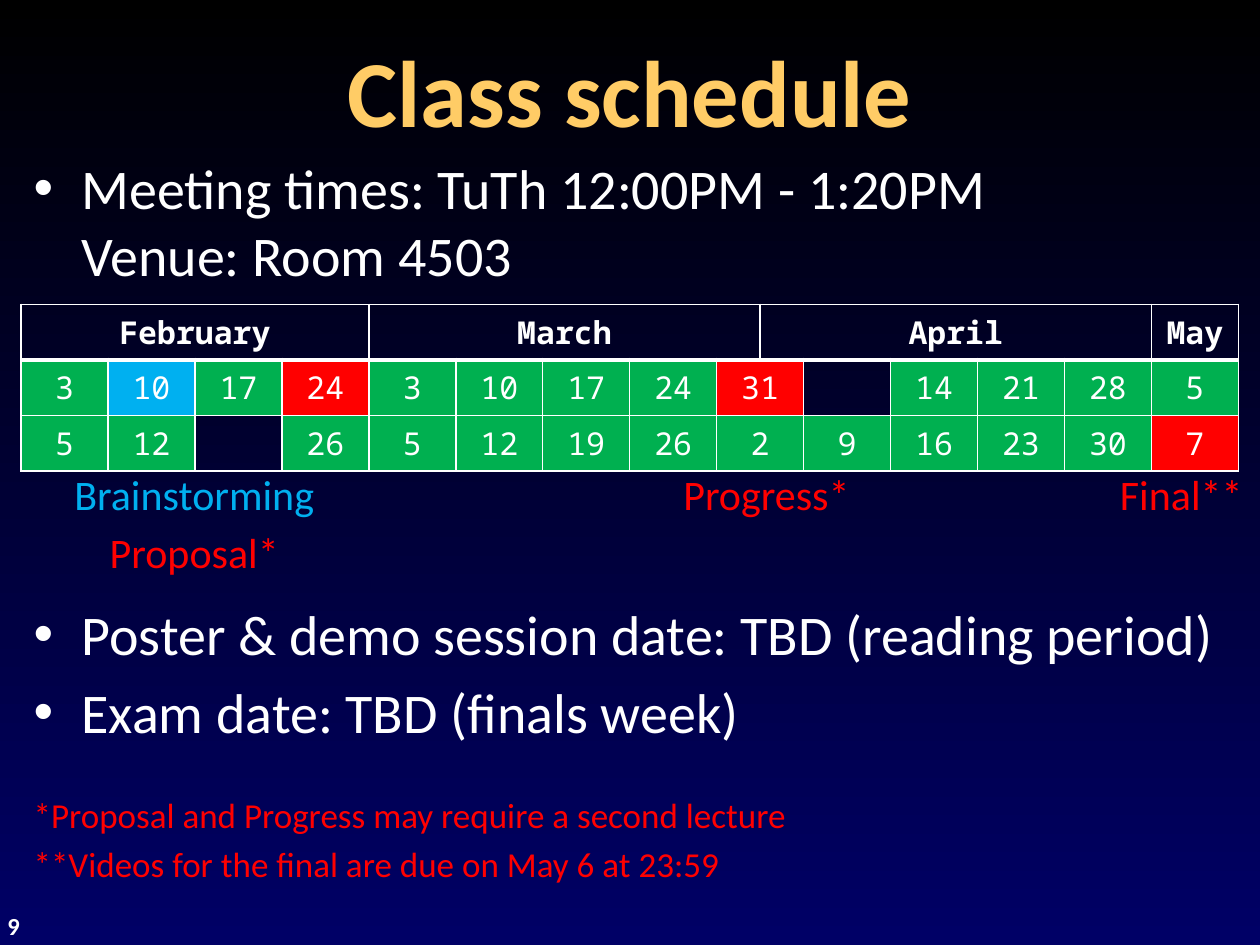
from lxml import etree
from pptx import Presentation
from pptx.dml.color import RGBColor
from pptx.enum.text import MSO_ANCHOR, MSO_AUTO_SIZE, PP_ALIGN
from pptx.oxml.ns import qn
from pptx.util import Inches, Pt

LEFT, CENTER = PP_ALIGN.LEFT, PP_ALIGN.CENTER
TOP, MIDDLE = MSO_ANCHOR.TOP, MSO_ANCHOR.MIDDLE
NO_FIT = MSO_AUTO_SIZE.NONE

BLACK = RGBColor(0x00, 0x00, 0x00)
NAVY = RGBColor(0x00, 0x00, 0x66)
WHITE = RGBColor(0xFF, 0xFF, 0xFF)
GOLD = RGBColor(0xFF, 0xCC, 0x66)
GREEN = RGBColor(0x00, 0xB0, 0x50)
BLUE = RGBColor(0x00, 0xB0, 0xF0)
RED = RGBColor(0xFF, 0x00, 0x00)

prs = Presentation()
prs.slide_width, prs.slide_height = Inches(10), Inches(7.5)
U = prs.slide_width // 60  # grid unit: a sixtieth of the slide's width
s = prs.slides.add_slide(prs.slide_layouts[1])


def style(p, size, color, align=LEFT, before=0, bold=False, font="Calibri"):
    p.alignment = align
    p.space_before = Pt(before)
    for r in p.runs:
        r.font.name, r.font.size, r.font.bold = font, Pt(size), bold
        r.font.color.rgb = color


def place(sp, left, top, width, height, anchor=TOP):
    sp.left, sp.top = int(left * U), int(top * U)
    sp.width, sp.height = int(width * U), int(height * U)
    tf = sp.text_frame
    tf.word_wrap, tf.auto_size, tf.vertical_anchor = True, NO_FIT, anchor
    return tf


# Background
fill = s.background.fill
fill.gradient()
fill.gradient_angle = 270
for stop, position, color in zip(fill.gradient_stops, (0, 1), (BLACK, NAVY)):
    stop.position = position
    stop.color.rgb = color

# Title
tf = place(s.shapes.title, 1, 1, 58, 6.5, MIDDLE)
tf.text = "Class schedule"
style(tf.paragraphs[0], 54, GOLD, CENTER, bold=True)

# Body: bullets above and below the calendar, then the footnotes
body = [
    ("Meeting times: TuTh 12:00PM - 1:20PM\vVenue: Room 4503", True, 0),
    ("Poster & demo session date: TBD (reading period)", True, 178),
    ("Exam date: TBD (finals week)", True, 6.4),
    ("*Proposal and Progress may require a second lecture", False, 28),
    ("**Videos for the final are due on May 6 at 23:59", False, 4),
]
tf = place(s.placeholders[1], 1, 7, 58, 34.2)
tf.text = "\n".join(text for text, _, _ in body)
for p, (_, bullet, before) in zip(tf.paragraphs, body):
    pPr = p._p.get_or_add_pPr()
    indent = Inches(0.38) if bullet else 0
    pPr.set("marL", str(indent))
    pPr.set("indent", str(-indent))
    if bullet:
        etree.SubElement(pPr, qn("a:buChar"), char="•")
    else:
        etree.SubElement(pPr, qn("a:buNone"))
    style(p, 32 if bullet else 20, WHITE if bullet else RED, before=before)

# Calendar: one column a week, the week of 31 March split between two months
months = [("February", 0, 3), ("March", 4, 8), ("April", 9, 13), ("May", 14, 14)]
days = [
    "3 10 17 24 3 10 17 24 31 - 14 21 28 5".split(),
    "5 12 - 26 5 12 19 26 2 9 16 23 30 7".split(),
]
SPLIT = 8
marked = {(1, 1): BLUE, (1, 3): RED, (1, 8): RED, (2, 13): RED}
week = 58 * U / 14
table = s.shapes.add_table(3, 15, U, int(14.5 * U), 58 * U, Inches(1.23)).table
table.first_row = table.horz_banding = False
for i, column in enumerate(table.columns):
    column.width = int(week / 2 if i in (SPLIT, SPLIT + 1) else week)
for row in table.rows:
    row.height = Inches(0.41)

for i in range(3):
    for cell in table.rows[i].cells:
        tcPr = cell._tc.get_or_add_tcPr()
        for side in "LRTB":
            thick = (i, side) in ((0, "B"), (1, "T"))
            ln = etree.SubElement(tcPr, qn("a:ln" + side), w=str(Pt(3 if thick else 1)))
            line = etree.SubElement(ln, qn("a:solidFill"))
            etree.SubElement(line, qn("a:srgbClr"), val=str(WHITE))
        cell.fill.background()

for name, first, last in months:
    cell = table.cell(0, first)
    if last > first:
        cell.merge(table.cell(0, last))
    cell.text = name
    style(cell.text_frame.paragraphs[0], 18, WHITE, CENTER, bold=True, font="Noto Sans Mono")

for i, dates in enumerate(days, 1):
    table.cell(i, SPLIT).merge(table.cell(i, SPLIT + 1))
    for j, day in enumerate(dates):
        if day == "-":
            continue
        cell = table.cell(i, j + (j > SPLIT))
        cell.text = day
        cell.fill.solid()
        cell.fill.fore_color.rgb = marked.get((i, j), GREEN)
        style(cell.text_frame.paragraphs[0], 18, WHITE, CENTER, font="Noto Sans Mono")

# Labels under the calendar
labels = [
    (1, 16.5, 6.5, [("Brainstorming", BLUE), ("Proposal*", RED)]),
    (31.5, 10, 3.5, [("Progress*", RED)]),
    (52.5, 7.5, 3.5, [("Final**", RED)]),
]
for left, width, height, lines in labels:
    tf = place(s.shapes.add_textbox(0, 0, U, U), left, 22, width, height)
    tf.text = "\n".join(text for text, _ in lines)
    for i, (p, (_, color)) in enumerate(zip(tf.paragraphs, lines)):
        style(p, 24, color, CENTER, before=4.8 * i)

# Slide number
tf = place(s.shapes.add_textbox(0, 0, U, U), 0, 43.1, 3.7, 1.9)
tf.margin_left = Inches(0.06)
tf.text = "9"
style(tf.paragraphs[0], 14, WHITE, bold=True)

prs.save("out.pptx")
